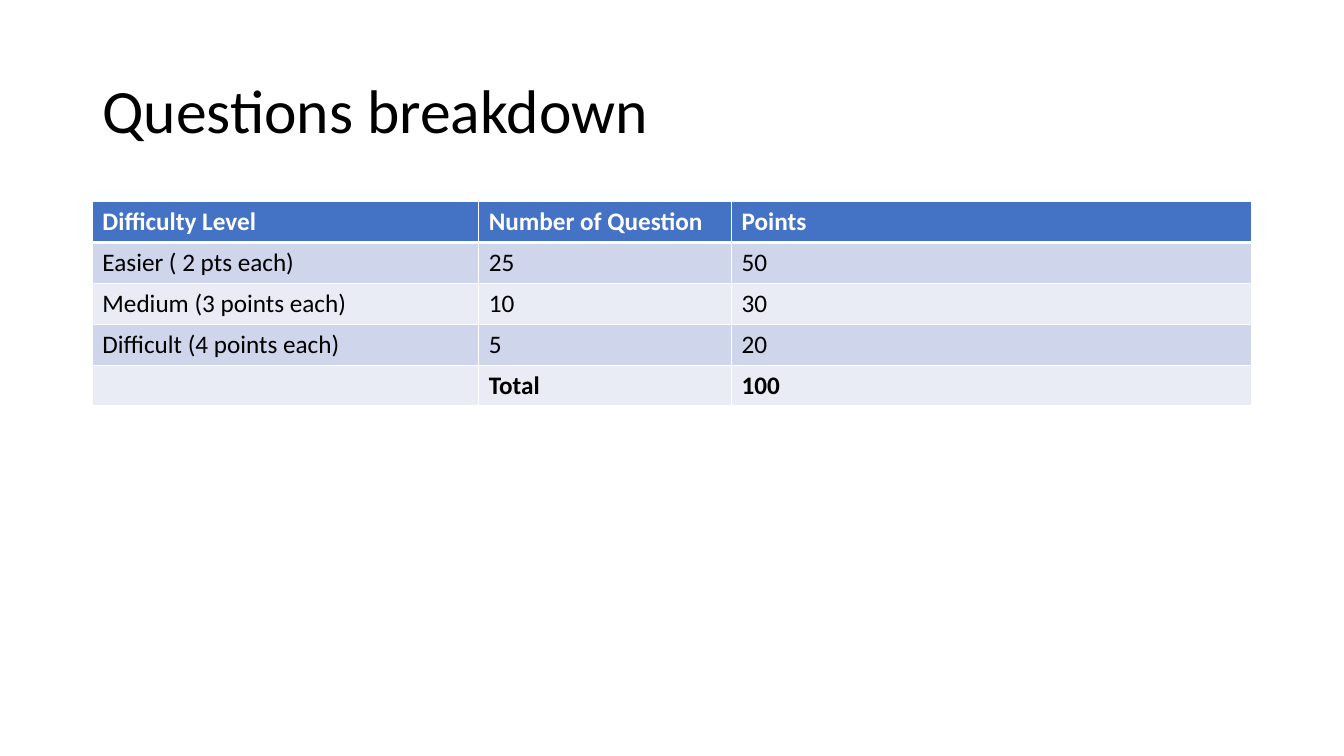
from lxml.etree import SubElement
from pptx import Presentation
from pptx.dml.color import RGBColor
from pptx.enum.text import MSO_ANCHOR as Anchor, PP_ALIGN as Align
from pptx.oxml.ns import qn
from pptx.util import Pt


def paint(fill, color):
    fill.solid()
    fill.fore_color.rgb = RGBColor.from_string(color)


class BreakdownSlide:
    """Holds the deck style and the slide being built."""

    font = "Calibri"
    ink, paper, header = "000000", "FFFFFF", "4472C4"
    bands = ("CFD5EA", "E9EBF5")

    def __init__(self, deck):
        self.slide = deck.slides.add_slide(deck.slide_layouts[5])
        paint(self.slide.background.fill, self.paper)

    def add_text(self, paragraph, text, size, color, bold=False):
        run = paragraph.add_run()
        run.text = text
        run.font.name, run.font.size, run.font.bold = self.font, Pt(size), bold
        paint(run.font.fill, color)

    def title(self, text, left, top, width, height):
        heading = self.slide.shapes.title
        heading.left, heading.top = Pt(left), Pt(top)
        heading.width, heading.height = Pt(width), Pt(height)
        heading.text_frame.vertical_anchor = Anchor.MIDDLE
        paragraph = heading.text_frame.paragraphs[0]
        paragraph.alignment = Align.LEFT
        paragraph.line_spacing = 0.9
        self.add_text(paragraph, text, 44, self.ink)

    def border(self, cell, side, width):
        line = SubElement(cell._tc.get_or_add_tcPr(), qn(f"a:ln{side}"), w=str(Pt(width)))
        solid = SubElement(line, qn("a:solidFill"))
        SubElement(solid, qn("a:srgbClr"), val=self.paper)

    def cell(self, cell, text, row, bold):
        widths = {"L": 1, "R": 1, "T": 3 if row == 1 else 1, "B": 3 if row == 0 else 1}
        for side, width in widths.items():
            self.border(cell, side, width)
        paint(cell.fill, self.bands[(row - 1) % 2] if row else self.header)
        if text:
            color = self.ink if row else self.paper
            self.add_text(cell.text_frame.paragraphs[0], text, 18, color, bold)

    def table(self, rows, left, top, widths, row_height):
        frame = self.slide.shapes.add_table(
            len(rows), len(widths), Pt(left), Pt(top),
            Pt(sum(widths)), Pt(row_height * len(rows)))
        breakdown = frame.table
        for column, width in zip(breakdown.columns, widths):
            column.width = Pt(width)
        for r, texts in enumerate(rows):
            breakdown.rows[r].height = Pt(row_height)
            for c, text in enumerate(texts):
                self.cell(breakdown.cell(r, c), text, r, r in (0, len(rows) - 1))


def main():
    deck = Presentation()
    deck.slide_width, deck.slide_height = Pt(960), Pt(540)
    questions = BreakdownSlide(deck)
    questions.title("Questions breakdown", 66, 28.75, 828, 104.4)
    questions.table([
        ("Difficulty Level", "Number of Question", "Points"),
        ("Easier ( 2 pts each)", "25", "50"),
        ("Medium (3 points each)", "10", "30"),
        ("Difficult (4 points each)", "5", "20"),
        ("", "Total", "100"),
    ], 66, 144, (276, 180.6, 371.4), 29.2)
    deck.save("out.pptx")


if __name__ == "__main__":
    main()
